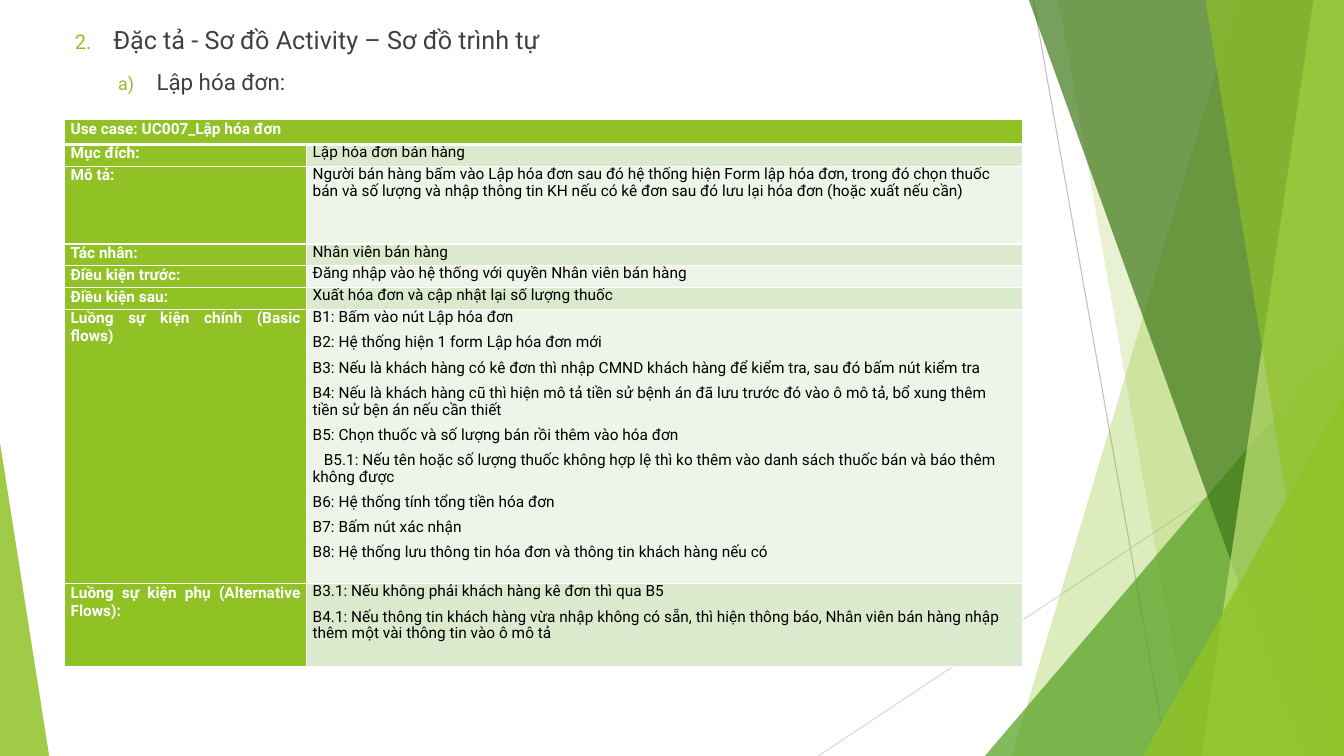
"""Build the use case slide for making an invoice."""
import lxml.etree
import pptx
import pptx.dml.color
import pptx.enum.shapes
import pptx.enum.text
import pptx.oxml.ns
import pptx.util

Cm, Pt = pptx.util.Cm, pptx.util.Pt
RGB = pptx.dml.color.RGBColor
qn = pptx.oxml.ns.qn
Align = pptx.enum.text.PP_ALIGN
Kind = pptx.enum.shapes.MSO_SHAPE

FONT = "Roboto"
WHITE = RGB(0xFF, 0xFF, 0xFF)
BLACK = RGB(0, 0, 0)
GREY = RGB(0x40, 0x40, 0x40)
LIME = RGB(0x90, 0xC2, 0x26)
GREEN = RGB(0x54, 0xA0, 0x21)
DARK = RGB(0x3F, 0x78, 0x19)
PALE = RGB(0xC0, 0xE4, 0x74)
BANDS = RGB(0xDB, 0xE9, 0xCD), RGB(0xEE, 0xF4, 0xE8)

WIDE, HIGH = 33.87, 19.05

HEADS = [
    ("Đặc tả - Sơ đồ Activity – Sơ đồ trình tự", 18, 0.97,
     {"type": "arabicPeriod", "startAt": "2"}),
    ("Lập hóa đơn:", 16, 2.06, {"type": "alphaLcParenR"}),
]

CASE = "Use case: UC007_Lập hóa đơn"
ROWS = [
    ("Mục đích:", 0.55, ["Lập hóa đơn bán hàng"]),
    ("Mô tả:", 1.96, [
        "Người bán hàng bấm vào Lập hóa đơn sau đó hệ thống hiện Form lập hóa đơn, "
        "trong đó chọn thuốc bán và số lượng và nhập thông tin KH nếu có kê đơn "
        "sau đó lưu lại hóa đơn (hoặc xuất nếu cần)"]),
    ("Tác nhân:", 0.55, ["Nhân viên bán hàng"]),
    ("Điều kiện trước:", 0.55,
     ["Đăng nhập vào hệ thống với quyền Nhân viên bán hàng"]),
    ("Điều kiện sau:", 0.55, ["Xuất hóa đơn và cập nhật lại số lượng thuốc"]),
    ("Luồng sự kiện chính (Basic flows)", 6.91, [
        "B1: Bấm vào nút Lập hóa đơn",
        "B2: Hệ thống hiện 1 form Lập hóa đơn mới",
        "B3: Nếu là khách hàng có kê đơn thì nhập CMND khách hàng để kiểm tra, "
        "sau đó bấm nút kiểm tra",
        "B4: Nếu là khách hàng cũ thì hiện mô tả tiền sử bệnh án đã lưu trước đó "
        "vào ô mô tả, bổ xung thêm tiền sử bện án nếu cần thiết",
        "B5: Chọn thuốc và số lượng bán rồi thêm vào hóa đơn",
        "B5.1: Nếu tên hoặc số lượng thuốc không hợp lệ thì ko thêm vào danh sách "
        "thuốc bán và báo thêm không được",
        "B6: Hệ thống tính tổng tiền hóa đơn",
        "B7: Bấm nút xác nhận",
        "B8: Hệ thống lưu thông tin hóa đơn và thông tin khách hàng nếu có"]),
    ("Luồng sự kiện phụ (Alternative Flows):", 2.08, [
        "B3.1: Nếu không phải khách hàng kê đơn thì qua B5",
        "B4.1: Nếu thông tin khách hàng vừa nhập không có sẵn, thì hiện thông báo, "
        "Nhân viên bán hàng nhập thêm một vài thông tin vào ô mô tả"]),
]
INSET = "B5.1:"

LINES = [
    (26.04, 0, 29.41, HIGH, RGB(0xBF, 0xBF, 0xBF)),
    (WIDE, 10.24, 20.62, HIGH, RGB(0xD9, 0xD9, 0xD9)),
]
# Slabs hold top and bottom x; wedges hold left, top, width and apex.
SHARDS = [
    ((31.19, 25.5), LIME, 30),
    ((26.67, 30.05), LIME, 20),
    ((24.82, 8.46, 9.05, 1), GREEN, 72),
    ((25.93, 32.79), DARK, 70),
    ((33.1, 30.28), PALE, 70),
    ((30.38, 33.48), LIME, 65),
    ((28.8, 9.98, 5.07, 1), LIME, 80),
    ((0, 11.15, 1.24, 0), LIME, 85),
]


def add(root, tag, **attrs):
    """Append a drawing element with the given attributes."""
    return lxml.etree.SubElement(root, qn(tag), attrs)


def style(para, size, color, bold=False):
    """Format every run of a paragraph."""
    for run in para.runs:
        run.font.name, run.font.size, run.font.bold = FONT, Pt(size), bold
        run.font.color.rgb = color


def draw_line(shapes, x1, y1, x2, y2, color):
    """Draw a thin straight line."""
    line = shapes.add_connector(pptx.enum.shapes.MSO_CONNECTOR.STRAIGHT,
                                Cm(x1), Cm(y1), Cm(x2), Cm(y2))
    line.line.color.rgb, line.line.width = color, Pt(0.75)
    add(line.element.spPr, "a:effectLst")


def draw_shard(shapes, form, color, alpha):
    """Draw one see-through slab or wedge reaching the slide's foot."""
    if len(form) == 2:
        top, foot = form
        pen = shapes.build_freeform(Cm(top), 0)
        pen.add_line_segments([(Cm(WIDE), 0), (Cm(WIDE), Cm(HIGH)),
                               (Cm(foot), Cm(HIGH))])
        shard = pen.convert_to_shape()
    else:
        left, top, width, apex = form
        shard = shapes.add_shape(Kind.ISOSCELES_TRIANGLE, Cm(left), Cm(top),
                                 Cm(width), Cm(HIGH - top))
        shard.adjustments[0] = apex
    shard.shadow.inherit = False
    shard.fill.solid()
    shard.fill.fore_color.rgb = color
    add(shard.element.find(".//" + qn("a:srgbClr")), "a:alpha", val=str(alpha * 1000))
    shard.line.fill.background()


def fill_heads(body):
    """Write the numbered headings."""
    body.left, body.top, body.width, body.height = Cm(1.63), Cm(0.48), Cm(24.13), Cm(2.51)
    frame = body.text_frame
    frame.auto_size = pptx.enum.text.MSO_AUTO_SIZE.NONE
    frame.text = "\n".join(head[0] for head in HEADS)
    for level, (para, head) in enumerate(zip(frame.paragraphs, HEADS)):
        size, left, mark = head[1:]
        para.level, para.space_before = level, Pt(10)
        style(para, size, GREY)
        props = para._p.get_or_add_pPr()
        props.set("marL", str(Cm(left)))
        props.set("indent", str(-Cm(0.97)))
        add(add(props, "a:buClr"), "a:srgbClr", val=str(LIME))
        add(props, "a:buSzPct", val="80000")
        add(props, "a:buFont", typeface=FONT)
        add(props, "a:buAutoNum", **mark)


def fill_cell(cell, text, fill, color, bold, align, space, foot=1):
    """Write a cell and set its fill, margins and white borders."""
    cell.margin_left = cell.margin_right = Cm(0.15)
    cell.margin_top = cell.margin_bottom = 0
    cell.text_frame.text = text
    for para in cell.text_frame.paragraphs:
        para.alignment, para.line_spacing, para.space_after = align, space, Pt(6)
        style(para, 11, color, bold)
        if para.text.startswith(INSET):
            para._p.get_or_add_pPr().set("indent", str(Cm(0.28)))
    cell.fill.solid()
    cell.fill.fore_color.rgb = fill
    props = cell._tc.get_or_add_tcPr()
    for spot, side in enumerate("LRTB"):
        width = Pt(foot if side == "B" else 1)
        edge = add(props, "a:ln" + side, w=str(width))
        add(add(edge, "a:solidFill"), "a:srgbClr", val=str(WHITE))
        props.insert(spot, edge)


def fill_table(shapes):
    """Build the use case table."""
    highs = [0.64] + [row[1] for row in ROWS]
    table = shapes.add_table(len(highs), 2, Cm(1.63), Cm(3), Cm(24.13),
                             Cm(sum(highs))).table
    for col, width in zip(table.columns, (6.1, 18.03)):
        col.width = Cm(width)
    for row, high in zip(table.rows, highs):
        row.height = Cm(high)
    table.cell(0, 0).merge(table.cell(0, 1))
    for col, text in enumerate((CASE, "")):
        fill_cell(table.cell(0, col), text, LIME, WHITE, True, Align.LEFT, 1.07, 3)
    for num, (label, high, steps) in enumerate(ROWS, 1):
        fill_cell(table.cell(num, 0), label, LIME, WHITE, True, Align.JUSTIFY, 1.0)
        fill_cell(table.cell(num, 1), "\n".join(steps), BANDS[(num - 1) % 2],
                  BLACK, False, Align.LEFT, Pt(12))


def main():
    """Build and save the slide."""
    deck = pptx.Presentation()
    deck.slide_width, deck.slide_height = Cm(WIDE), Cm(HIGH)
    slide = deck.slides.add_slide(deck.slide_layouts[1])
    shapes = slide.shapes
    title = shapes.title.element
    title.getparent().remove(title)
    body = slide.placeholders[1]
    for line in LINES:
        draw_line(shapes, *line)
    for shard in SHARDS:
        draw_shard(shapes, *shard)
    fill_heads(body)
    fill_table(shapes)
    deck.save("out.pptx")


if __name__ == "__main__":
    main()
